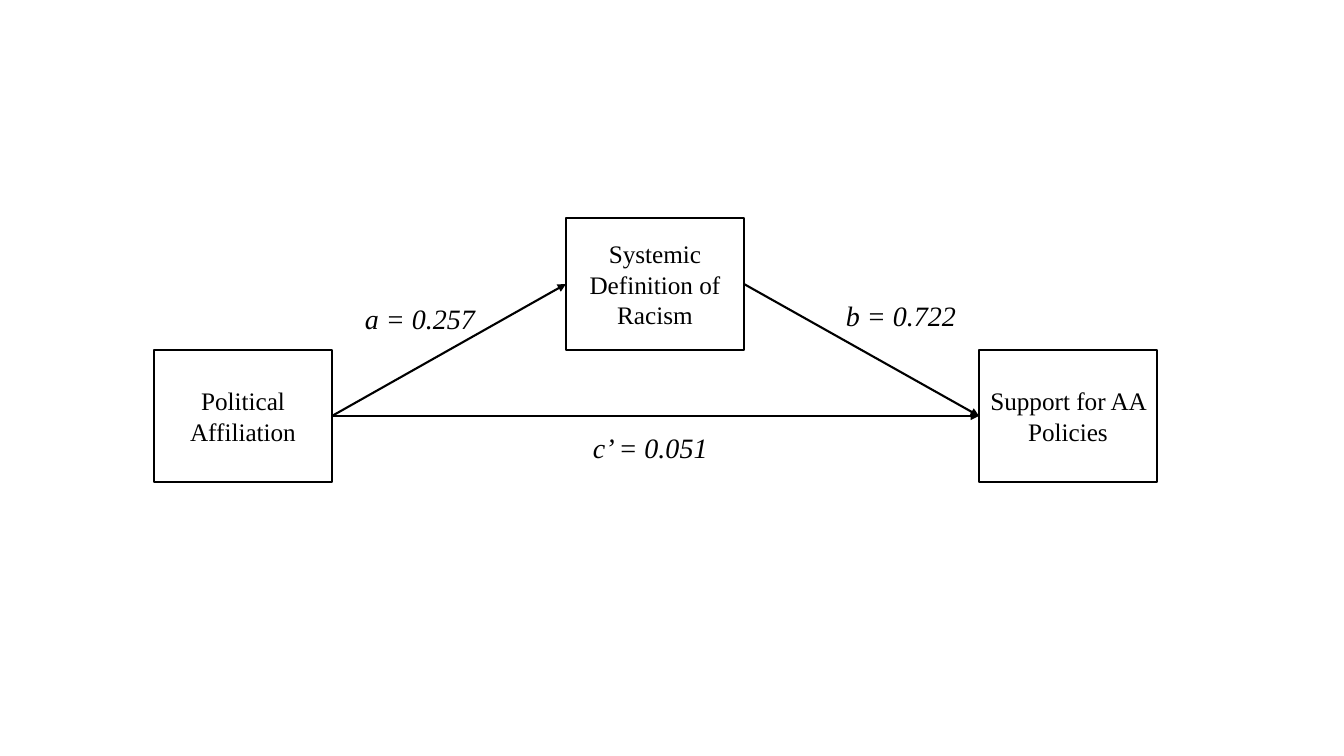
import pptx
import pptx.dml.color
import pptx.enum.shapes
import pptx.enum.text
import pptx.oxml.ns
import pptx.util
from lxml import etree

BLACK = pptx.dml.color.RGBColor(0, 0, 0)
WHITE = pptx.dml.color.RGBColor(255, 255, 255)
FONT = "Times New Roman"
SLIDE_SIZE = (1344, 756)
BOX_SIZE = (178, 132)
LINE_WIDTH = pptx.util.Pt(1.5)
RIGHT_SITE, LEFT_SITE = 3, 1

# Variable: text, left, top
VARIABLES = {
    "mediator": ("Systemic Definition of Racism", 566, 218),
    "outcome": ("Support for AA Policies", 979, 350),
    "predictor": ("Political Affiliation", 154, 350),
}
EFFECTS = [
    ("mediator", "outcome"),
    ("predictor", "mediator"),
    ("predictor", "outcome"),
]
# Coefficient: text, left, top, width, height
COEFFICIENTS = [
    ("b = 0.722", 836, 294, 144, 44),
    ("a = 0.257", 355, 297, 135, 44),
    ("c\u2019 = 0.051", 583, 426, 147, 44),
]


def px(*lengths):
    """Turn pixel lengths into EMU."""
    return [pptx.util.Emu(round(length * 914400 / 100.8)) for length in lengths]


def set_text(shape, text, size, italic=False):
    """Write one styled paragraph into a shape and return it."""
    shape.text_frame.word_wrap = True
    shape.text_frame.text = text
    paragraph = shape.text_frame.paragraphs[0]
    font = paragraph.runs[0].font
    font.name, font.size, font.italic = FONT, pptx.util.Pt(size), italic
    font.color.rgb = BLACK
    return paragraph


def add_variable(slide, text, left, top):
    """Add a white box with centred text."""
    box = slide.shapes.add_shape(
        pptx.enum.shapes.MSO_SHAPE.RECTANGLE, *px(left, top, *BOX_SIZE))
    box.shadow.inherit = False
    box.fill.solid()
    box.fill.fore_color.rgb = WHITE
    box.line.color.rgb = BLACK
    box.line.width = LINE_WIDTH
    box.text_frame.vertical_anchor = pptx.enum.text.MSO_ANCHOR.MIDDLE
    set_text(box, text, 18).alignment = pptx.enum.text.PP_ALIGN.CENTER
    return box


def add_effect(slide, cause, result):
    """Add an arrow from the right of one box to the left of another."""
    arrow = slide.shapes.add_connector(
        pptx.enum.shapes.MSO_CONNECTOR.STRAIGHT, 0, 0, 0, 0)
    arrow.begin_connect(cause, RIGHT_SITE)
    arrow.end_connect(result, LEFT_SITE)
    arrow.line.color.rgb = BLACK
    arrow.line.width = LINE_WIDTH
    qn = pptx.oxml.ns.qn
    properties = arrow.element.spPr
    etree.SubElement(properties.find(qn("a:ln")), qn("a:tailEnd"), type="triangle")
    etree.SubElement(properties, qn("a:effectLst"))


def add_coefficient(slide, text, *frame):
    """Add an italic path coefficient."""
    label = slide.shapes.add_textbox(*px(*frame))
    label.text_frame.auto_size = pptx.enum.text.MSO_AUTO_SIZE.SHAPE_TO_FIT_TEXT
    set_text(label, text, 20, italic=True)


presentation = pptx.Presentation()
presentation.slide_width, presentation.slide_height = px(*SLIDE_SIZE)
slide = presentation.slides.add_slide(presentation.slide_layouts[6])

boxes = {name: add_variable(slide, *variable) for name, variable in VARIABLES.items()}
for cause, result in EFFECTS:
    add_effect(slide, boxes[cause], boxes[result])
for coefficient in COEFFICIENTS:
    add_coefficient(slide, *coefficient)

presentation.save("out.pptx")
